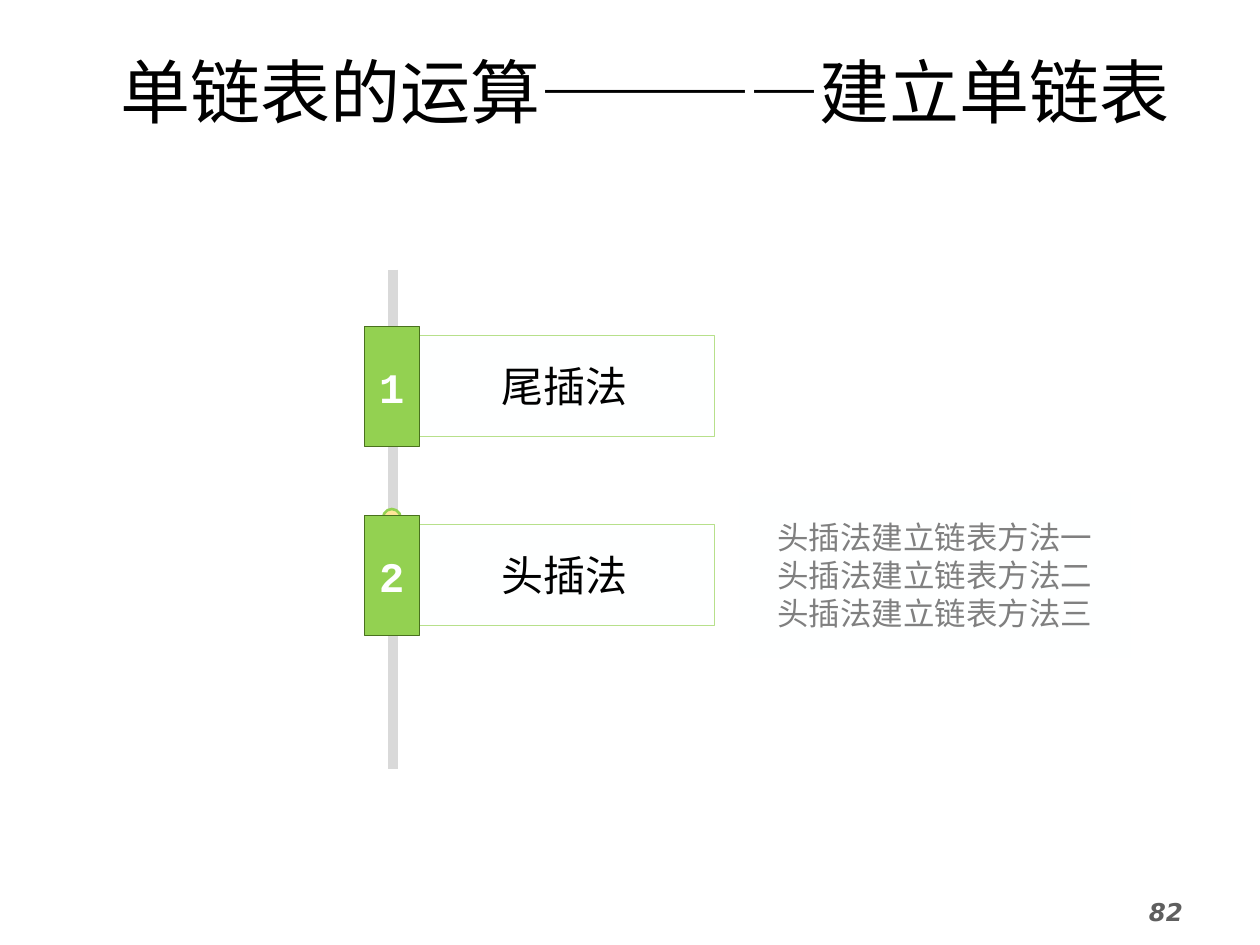
from pptx import Presentation
from pptx import util as u
from pptx.dml.color import RGBColor
from pptx.enum import shapes, text
from pptx.oxml import parse_xml
from pptx.oxml.ns import nsdecls

Inches = u.Inches
FONT = "Courier New"
COLORS = {
    "black": "000000",
    "white": "FEFFFF",
    "green": "93D151",
    "dark_green": "49711E",
    "light_green": "B7E08B",
    "yellow": "FFE699",
    "rail": "D9D9D9",
    "grey": "808080",
    "number": "5F5F5F",
}


def color(name):
    return RGBColor.from_string(COLORS[name])


def write(tf, lines, size, ink, font=FONT, bold=False, italic=False,
          align=text.PP_ALIGN.CENTER):
    """Write each line as one paragraph with a single run."""
    for i, line in enumerate(lines):
        p = tf.add_paragraph() if i else tf.paragraphs[0]
        p.alignment = align
        r = p.add_run()
        r.text = line
        r.font.name = font
        r.font.size = u.Pt(size)
        r.font.bold = bold
        r.font.italic = italic
        r.font.color.rgb = color(ink)


def add_box(s, kind, box, fill, line=None, width=0.25):
    """Add a flat preset shape; box is left, top, width, height in inches."""
    sp = s.shapes.add_shape(kind, *map(Inches, box))
    sp.shadow.inherit = False
    sp.fill.solid()
    sp.fill.fore_color.rgb = color(fill)
    if line:
        sp.line.color.rgb = color(line)
        sp.line.width = u.Pt(width)
    else:
        sp.line.fill.background()
    sp.text_frame.word_wrap = True
    sp.text_frame.vertical_anchor = text.MSO_ANCHOR.MIDDLE
    return sp


def add_title(s, box, words):
    sp = s.shapes.title
    sp.left, sp.top, sp.width, sp.height = map(Inches, box)
    tf = sp.text_frame
    tf.vertical_anchor = text.MSO_ANCHOR.MIDDLE
    tf.auto_size = text.MSO_AUTO_SIZE.SHAPE_TO_FIT_TEXT
    write(tf, [words], 40, "black")


def add_rail(s, x, top, bottom):
    rail = s.shapes.add_connector(
        shapes.MSO_CONNECTOR.STRAIGHT, *map(Inches, (x, top, x, bottom)))
    rail.line.color.rgb = color("rail")
    rail.line.width = u.Pt(6)
    rail._element.spPr.append(parse_xml(f"<a:effectLst {nsdecls('a')}/>"))


def add_knot(s, x, y, size=0.14):
    """Add the small ring on the rail, centred at x, y."""
    add_box(s, shapes.MSO_SHAPE.OVAL, (x - size / 2, y - size / 2, size, size),
            "yellow", "green", 1.5)


def add_item(s, left, top, number, label):
    """Add a label card with its numbered tag overlapping the left edge."""
    rect = shapes.MSO_SHAPE.RECTANGLE
    card = add_box(s, rect, (left + 0.4, top + 0.07, 2.38, 0.8),
                   "white", "light_green")
    write(card.text_frame, [label], 24, "black")
    tag = add_box(s, rect, (left, top, 0.44, 0.95), "green", "dark_green")
    write(tag.text_frame, [str(number)], 24, "white", bold=True)


def add_methods(s, box, lines):
    sp = add_box(s, shapes.MSO_SHAPE.RECTANGLE, box, "white")
    write(sp.text_frame, lines, 18, "grey")


def add_page_number(s, box, number):
    tf = s.shapes.add_textbox(*map(Inches, box)).text_frame
    tf.word_wrap = True
    write(tf, [number], 14, "number", "DejaVu Sans", True, True,
          text.PP_ALIGN.LEFT)


def main():
    prs = Presentation()
    prs.slide_width, prs.slide_height = Inches(10), Inches(7.5)
    s = prs.slides.add_slide(prs.slide_layouts[5])

    rail_x, first_top, step = 3.12, 2.59, 1.5
    add_title(s, (0.35, 0.33, 9.54, 0.77), "单链表的运算————建立单链表")
    add_rail(s, rail_x, 2.14, 6.1)
    add_knot(s, rail_x - 0.01, first_top + step + 0.02)
    for i, label in enumerate(["尾插法", "头插法"]):
        add_item(s, 2.89, first_top + i * step, i + 1, label)
    add_methods(s, (5.87, 3.91, 3.1, 1.31),
                [f"头插法建立链表方法{n}" for n in "一二三"])
    add_page_number(s, (9.02, 7.07, 1.02, 0.43), "82")

    prs.save("out.pptx")


if __name__ == "__main__":
    main()
